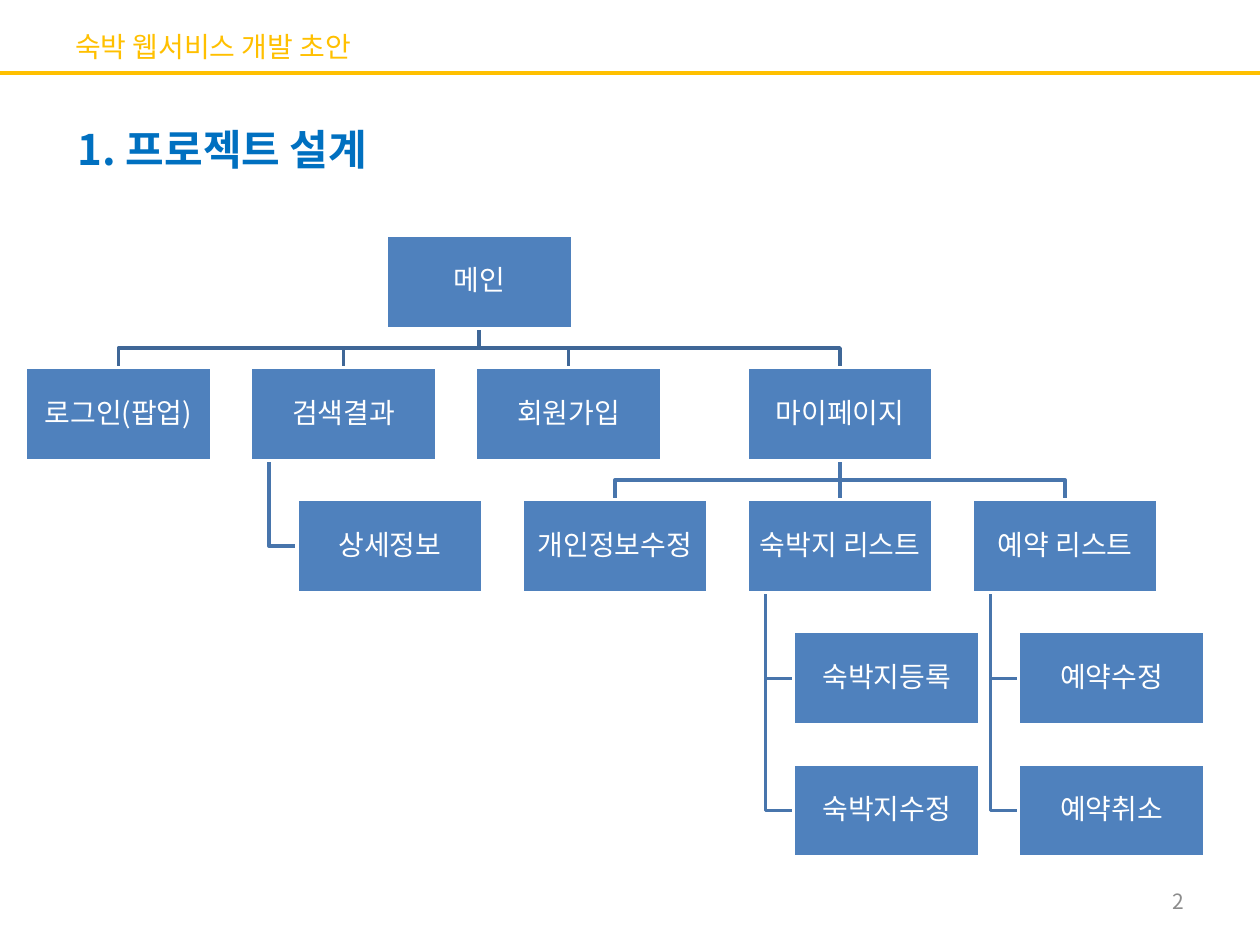
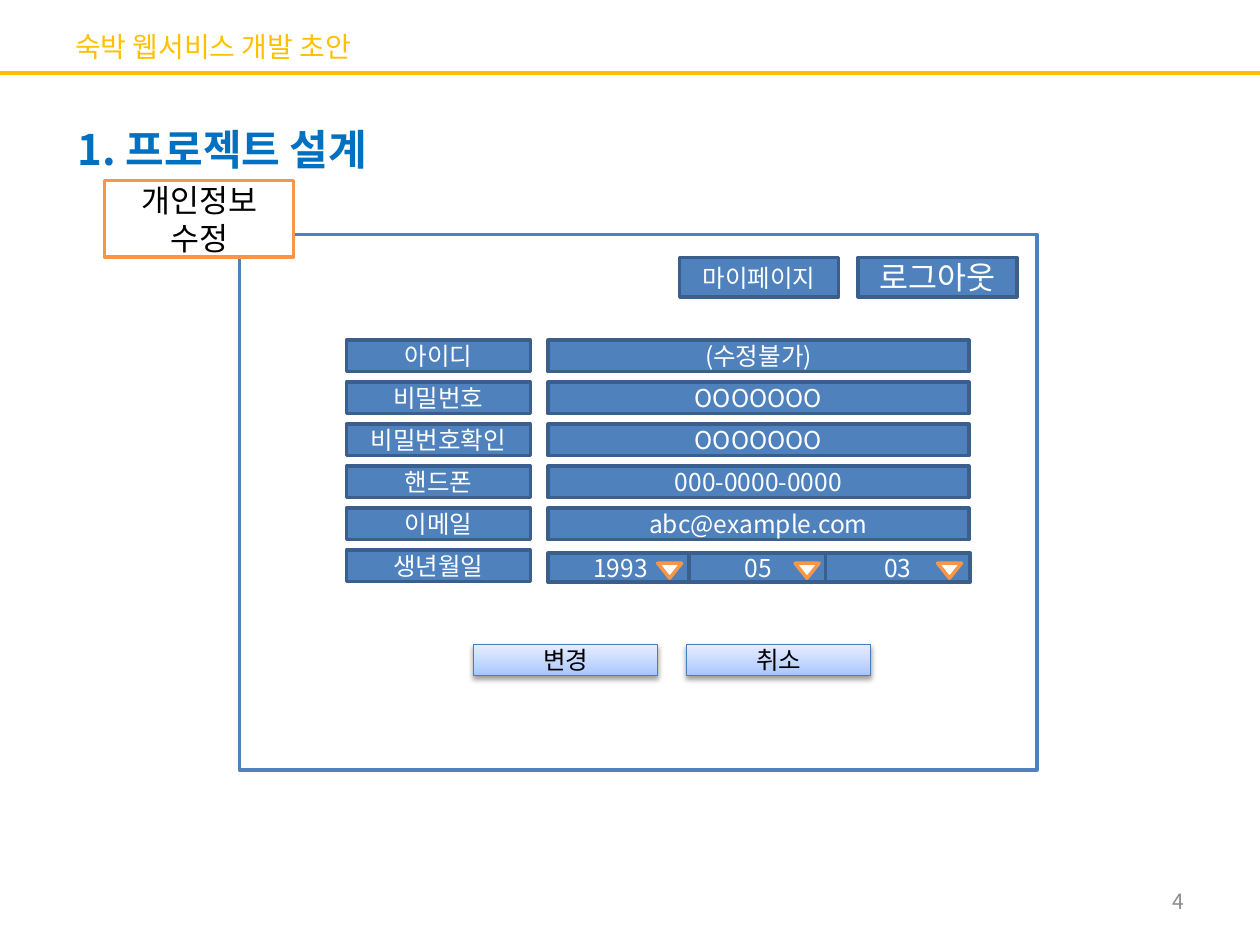
import copy
from dataclasses import dataclass
from typing import Optional

import lxml.etree
import pptx
import pptx.dml.color
import pptx.enum.shapes
import pptx.enum.text
import pptx.oxml.ns
import pptx.util

Pt = pptx.util.Pt
qn = pptx.oxml.ns.qn
RGB = pptx.dml.color.RGBColor.from_string
SHAPE = pptx.enum.shapes.MSO_SHAPE
ALIGN = pptx.enum.text.PP_ALIGN
ANCHOR = pptx.enum.text.MSO_ANCHOR


# Theme
@dataclass(frozen=True)
class Theme:
    font: str = "Noto Sans CJK KR"
    white: str = "FFFFFF"
    black: str = "000000"
    gold: str = "FFC000"
    heading: str = "0070C0"
    grey: str = "8C8C8C"
    blue: str = "4F81BD"
    blue_edge: str = "3A5F8C"
    orange: str = "F79646"
    button_edge: str = "4B7EBC"
    button_stops: tuple = ((0, "A4C4FF"), (0.35, "BFD4FF"), (1, "E6EEFF"))
    top_link: str = "3F6797"
    lower_link: str = "4875AC"
    heading_size: float = 24
    large: float = 18
    body: float = 16
    field: float = 14
    small: float = 12
    line: float = 2


T = Theme()


@dataclass(frozen=True)
class Box:
    x: float
    y: float
    w: float
    h: float

    def lengths(self) -> tuple:
        return Pt(self.x), Pt(self.y), Pt(self.w), Pt(self.h)


# Drawing helpers
def put_text(tf, text: str, *, size: float, color: str = T.white,
             bold: bool = False, align=ALIGN.CENTER, anchor=ANCHOR.MIDDLE,
             wrap: bool = True, inset: Optional[float] = None,
             spacing: Optional[float] = None) -> None:
    tf.word_wrap = wrap
    tf.vertical_anchor = anchor
    if inset is not None:
        tf.margin_left = tf.margin_right = Pt(inset)
        tf.margin_top = tf.margin_bottom = Pt(inset)
    p = tf.paragraphs[0]
    p.alignment = align
    if spacing:
        p.line_spacing = spacing
    r = p.add_run()
    r.text = text
    r.font.size = Pt(size)
    r.font.bold = bold
    r.font.color.rgb = RGB(color)
    r.font.name = T.font
    ea = lxml.etree.SubElement(r._r.get_or_add_rPr(), qn("a:ea"))
    ea.set("typeface", T.font)


def add_label(s, box: Box, text: str, **fmt) -> None:
    put_text(s.shapes.add_textbox(*box.lengths()).text_frame, text, **fmt)


def add_box(s, box: Box, text: str = "", *, kind=SHAPE.RECTANGLE,
            fill: str = T.blue, edge: str = T.blue_edge,
            width: float = T.line, **fmt):
    sp = s.shapes.add_shape(kind, *box.lengths())
    sp.shadow.inherit = False
    sp.fill.solid()
    sp.fill.fore_color.rgb = RGB(fill)
    sp.line.color.rgb = RGB(edge)
    sp.line.width = Pt(width)
    if text:
        put_text(sp.text_frame, text, **fmt)
    return sp


def add_line(s, start: tuple, end: tuple, color: str, width: float) -> None:
    cx = s.shapes.add_connector(pptx.enum.shapes.MSO_CONNECTOR.STRAIGHT,
                                *map(Pt, start + end))
    cx.line.color.rgb = RGB(color)
    cx.line.width = Pt(width)
    lxml.etree.SubElement(cx._element.spPr, qn("a:effectLst"))


def add_path(s, points: list, color: str) -> None:
    first, *rest = [(Pt(x), Pt(y)) for x, y in points]
    fb = s.shapes.build_freeform(*first)
    fb.add_line_segments(rest, close=False)
    sp = fb.convert_to_shape()
    sp.shadow.inherit = False
    sp.fill.background()
    sp.line.color.rgb = RGB(color)
    sp.line.width = Pt(T.line)


def add_button(s, box: Box, text: str) -> None:
    sp = add_box(s, box, text, edge=T.button_edge, width=0.75,
                 size=T.field, color=T.black)
    sp.fill.gradient()
    sp.fill.gradient_angle = 90
    stops = sp._element.spPr.find(".//" + qn("a:gsLst"))
    stops.append(copy.deepcopy(stops[0]))
    for stop, (position, color) in zip(sp.fill.gradient_stops, T.button_stops):
        stop.position = position
        stop.color.rgb = RGB(color)
    shadow = lxml.etree.SubElement(
        sp._element.spPr.find(qn("a:effectLst")), qn("a:outerShdw"),
        blurRad=str(Pt(3.1)), dist=str(Pt(1.6)), dir="5400000",
        rotWithShape="0")
    color = lxml.etree.SubElement(shadow, qn("a:srgbClr"), val=T.black)
    lxml.etree.SubElement(color, qn("a:alpha"), val="38000")


def add_page(prs, number: str):
    s = prs.slides.add_slide(prs.slide_layouts[6])
    add_line(s, (0, 41.6), (720, 41.6), T.gold, 2.25)
    add_label(s, Box(36, 9.4, 648, 33.8), "숙박 웹서비스 개발 초안",
              size=T.body, color=T.gold, align=ALIGN.LEFT)
    add_label(s, Box(37.4, 67, 197.3, 36), "1. 프로젝트 설계",
              size=T.heading_size, color=T.heading, bold=True,
              align=ALIGN.LEFT, anchor=ANCHOR.TOP, wrap=False)
    add_label(s, Box(516, 500.5, 168, 28.8), number,
              size=T.small, color=T.grey, align=ALIGN.RIGHT)
    return s


# Site map: columns and rows at equal steps, sub-pages indented
NODE_W, NODE_H = 106.5, 53.2
COL_STEP, ROW_STEP, INDENT = 128.6, 75.5, 26.6


@dataclass(frozen=True)
class Node:
    label: str
    col: float
    indents: float = 0
    children: tuple = ()
    hanging: bool = False

    def box(self, row: int) -> Box:
        return Box(14.4 + self.col * COL_STEP + self.indents * INDENT,
                   134.5 + row * ROW_STEP, NODE_W, NODE_H)


SITE_MAP = Node("메인", 1.5, 0.5, (
    Node("로그인(팝업)", 0),
    Node("검색결과", 1, 0, (Node("상세정보", 1, 1),), True),
    Node("회원가입", 2),
    Node("마이페이지", 3, 1, (
        Node("개인정보수정", 2, 1),
        Node("숙박지 리스트", 3, 1, (
            Node("숙박지등록", 3, 2), Node("숙박지수정", 3, 2)), True),
        Node("예약 리스트", 4, 1, (
            Node("예약수정", 4, 2), Node("예약취소", 4, 2)), True),
    )),
))


def child_rows(node: Node, row: int) -> list:
    return [(child, row + 1 + (i if node.hanging else 0))
            for i, child in enumerate(node.children)]


def draw_links(s, node: Node, row: int = 0) -> None:
    top = node.box(row)
    color = T.lower_link if row else T.top_link
    foot = top.y + NODE_H
    center = top.x + NODE_W / 2
    spine = top.x + NODE_W / 10
    for child, child_row in child_rows(node, row):
        b = child.box(child_row)
        target, middle = b.x + NODE_W / 2, (foot + b.y) / 2
        if node.hanging:
            level = b.y + NODE_H / 2
            add_path(s, [(spine, foot), (spine, level), (b.x, level)], color)
        elif abs(target - center) < 1:
            add_line(s, (center, foot), (center, b.y), color, T.line)
        else:
            add_path(s, [(center, foot), (center, middle),
                         (target, middle), (target, b.y)], color)
        draw_links(s, child, child_row)


def draw_nodes(s, node: Node, row: int = 0) -> None:
    add_box(s, node.box(row), node.label, edge=T.white, size=T.body,
            inset=0.7, spacing=0.9)
    for child, child_row in child_rows(node, row):
        draw_nodes(s, child, child_row)


# Profile form
FORM_ROWS = (
    ("아이디", "(수정불가)"),
    ("비밀번호", "OOOOOOO"),
    ("비밀번호확인", "OOOOOOO"),
    ("핸드폰", "000-0000-0000"),
    ("이메일", "abc@example.com"),
    ("생년월일", None),
)
FORM_Y, FORM_STEP, FIELD_H = 194.4, 24, 18
LABEL_X, FIELD_X, LABEL_W, FIELD_W = 198, 313.2, 105.1, 240.5


@dataclass(frozen=True)
class Dropdown:
    value: str
    x: float
    w: float
    arrow_x: float


BIRTH_DATE = (
    Dropdown("1993", 313.2, 82.8, 375.8),
    Dropdown("05", 393.8, 79.2, 454.3),
    Dropdown("03", 471.6, 82.8, 535.7),
)


def draw_form(s) -> None:
    for i, (label, value) in enumerate(FORM_ROWS):
        y = FORM_Y + i * FORM_STEP
        add_box(s, Box(LABEL_X, y, LABEL_W, FIELD_H), label, size=T.field)
        if value:
            add_box(s, Box(FIELD_X, y, FIELD_W, FIELD_H), value, size=T.field)
    for d in BIRTH_DATE:
        add_box(s, Box(d.x, 316.1, d.w, 16.6), d.value, size=T.field)
        arrow = add_box(s, Box(d.arrow_x, 321.8, 13.7, 8.6),
                        kind=SHAPE.ISOSCELES_TRIANGLE,
                        fill=T.white, edge=T.orange)
        arrow.rotation = 180


def main() -> None:
    prs = pptx.Presentation()
    prs.slide_width, prs.slide_height = Pt(720), Pt(540)

    # Slide with the site map
    s = add_page(prs, "2")
    draw_links(s, SITE_MAP)
    draw_nodes(s, SITE_MAP)

    # Slide with the profile editing screen
    s = add_page(prs, "4")
    add_box(s, Box(136.8, 134, 455.8, 306), fill=T.white, edge=T.blue)
    add_box(s, Box(59.8, 103, 108, 43.9), "개인정보 수정", fill=T.white,
            edge=T.orange, size=T.large, color=T.black)
    draw_form(s)
    for x, text in ((270.7, "변경"), (392.4, "취소")):
        add_button(s, Box(x, 368.2, LABEL_W, FIELD_H), text)
    for x, text, size in ((388.4, "마이페이지", T.field),
                          (490.4, "로그아웃", T.large)):
        add_box(s, Box(x, 147.2, 90.7, 22.5), text, size=size)

    prs.save("out.pptx")


if __name__ == "__main__":
    main()
